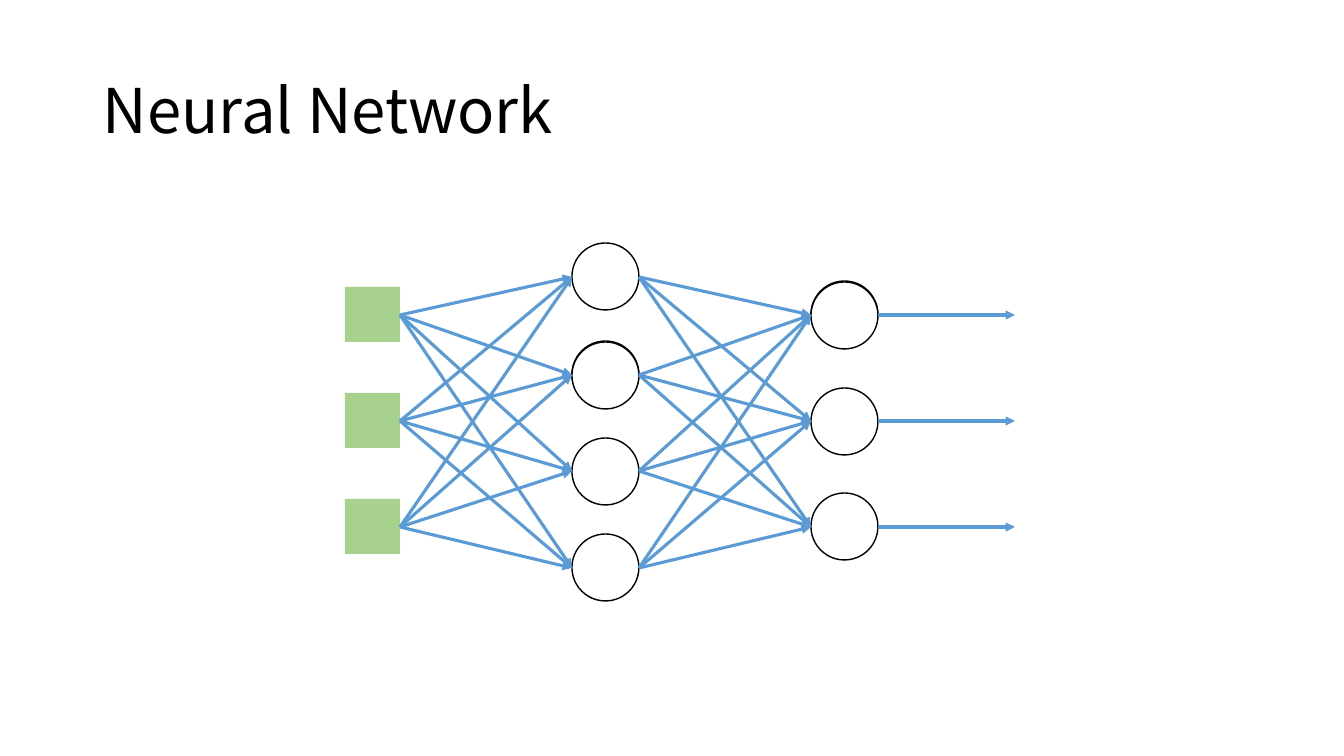
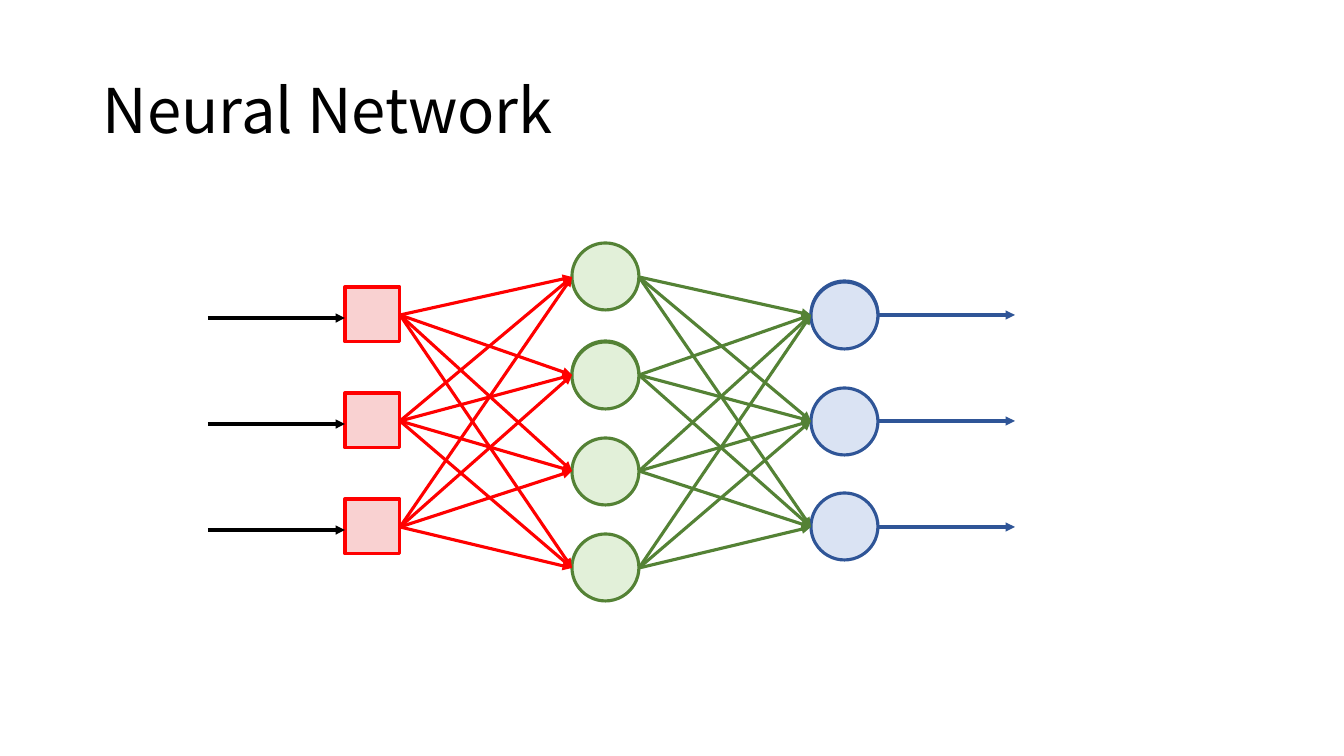
from dataclasses import dataclass
from itertools import product

from lxml import etree
from pptx import Presentation
from pptx import util as u
from pptx.dml.color import RGBColor
from pptx.enum import shapes, text
from pptx.oxml import ns
from pptx.slide import Slide

# Shared style
PIXEL = 12192000 / 1344
FONT = "Noto Sans CJK KR"
LINE_WIDTH = 2.25
COLORS = {
    "black": "000000", "white": "FFFFFF",
    "leaf": "A9D18E", "sky": "5B9BD5",
    "red": "FF0000", "pale red": "F9D1D1",
    "green": "548235", "pale green": "E2F0D9",
    "blue": "2F5597", "pale blue": "DAE3F3",
}

# Network geometry: each port is the height where a node's arrows meet
ROWS = tuple(315 + 106 * row for row in range(3))
ARROW_LENGTH = 137


@dataclass(frozen=True)
class Layer:
    preset: shapes.MSO_SHAPE
    left: int
    size: int
    tops: tuple[int, ...]
    ports: tuple[int, ...]

    @property
    def right(self) -> int:
        return self.left + self.size


@dataclass(frozen=True)
class Look:
    fill: str
    outline: str | None
    outline_width: float
    arrow: str


@dataclass(frozen=True)
class Theme:
    looks: tuple[Look, ...]
    feed: str | None = None


# The second hidden node and the first output node are doubled, 1 px apart
INPUT = Layer(shapes.MSO_SHAPE.RECTANGLE, 345, 55, (287, 393, 499), ROWS)
HIDDEN = Layer(shapes.MSO_SHAPE.OVAL, 572, 67, (243, 341, 342, 438, 534),
               (277, 375, 471, 568))
OUTPUT = Layer(shapes.MSO_SHAPE.OVAL, 811, 67, (281, 282, 388, 493), ROWS)
LAYERS = (INPUT, HIDDEN, OUTPUT)

PLAIN_NODE = Look("white", "black", 1, "sky")
THEMES = (
    Theme((Look("leaf", None, 0, "sky"), PLAIN_NODE, PLAIN_NODE)),
    Theme((Look("pale red", "red", LINE_WIDTH, "red"),
           Look("pale green", "green", LINE_WIDTH, "green"),
           Look("pale blue", "blue", LINE_WIDTH, "blue")), feed="black"),
)


def px(pixels: float) -> u.Emu:
    return u.Emu(round(pixels * PIXEL))


def color(name: str) -> RGBColor:
    return RGBColor.from_string(COLORS[name])


def add_title(page: Slide, title: str) -> None:
    box = page.shapes.add_textbox(px(93), px(75), px(1159), px(111))
    frame = box.text_frame
    frame.word_wrap = True
    frame.vertical_anchor = text.MSO_ANCHOR.TOP
    para = frame.paragraphs[0]
    para.text = title
    para.line_spacing = 0.9
    para.font.name = FONT
    para.font.size = u.Pt(44)
    para.font.color.rgb = color("black")


def add_nodes(page: Slide, layer: Layer, look: Look) -> None:
    for top in layer.tops:
        node = page.shapes.add_shape(layer.preset, px(layer.left), px(top),
                                     px(layer.size), px(layer.size))
        node.shadow.inherit = False
        node.fill.solid()
        node.fill.fore_color.rgb = color(look.fill)
        if look.outline is None:
            node.line.fill.background()
        else:
            node.line.color.rgb = color(look.outline)
            node.line.width = u.Pt(look.outline_width)


def add_arrow(page: Slide, start: tuple[int, int], end: tuple[int, int],
              name: str) -> None:
    arrow = page.shapes.add_connector(shapes.MSO_CONNECTOR.STRAIGHT,
                                      *map(px, start + end))
    arrow.line.color.rgb = color(name)
    arrow.line.width = u.Pt(LINE_WIDTH)
    outline = arrow.line._get_or_add_ln()
    etree.SubElement(outline, ns.qn("a:tailEnd"), type="triangle")
    etree.SubElement(arrow._element.spPr, ns.qn("a:effectLst"))


def add_network(page: Slide, theme: Theme) -> None:
    for layer, look in zip(LAYERS, theme.looks):
        add_nodes(page, layer, look)

    # Every node feeds every node of the next layer
    for source, target, look in zip(LAYERS, LAYERS[1:], theme.looks):
        for start, end in product(source.ports, target.ports):
            add_arrow(page, (source.right, start), (target.left, end), look.arrow)

    # Arrows out of and into the network
    for row in ROWS:
        add_arrow(page, (OUTPUT.right, row), (OUTPUT.right + ARROW_LENGTH, row),
                  theme.looks[-1].arrow)
        if theme.feed:
            add_arrow(page, (INPUT.left - ARROW_LENGTH, row + 3),
                      (INPUT.left, row + 3), theme.feed)


deck = Presentation()
deck.slide_width, deck.slide_height = px(1344), px(756)
for theme in THEMES:
    page = deck.slides.add_slide(deck.slide_layouts[6])
    add_network(page, theme)
    add_title(page, "Neural Network")
deck.save("out.pptx")
